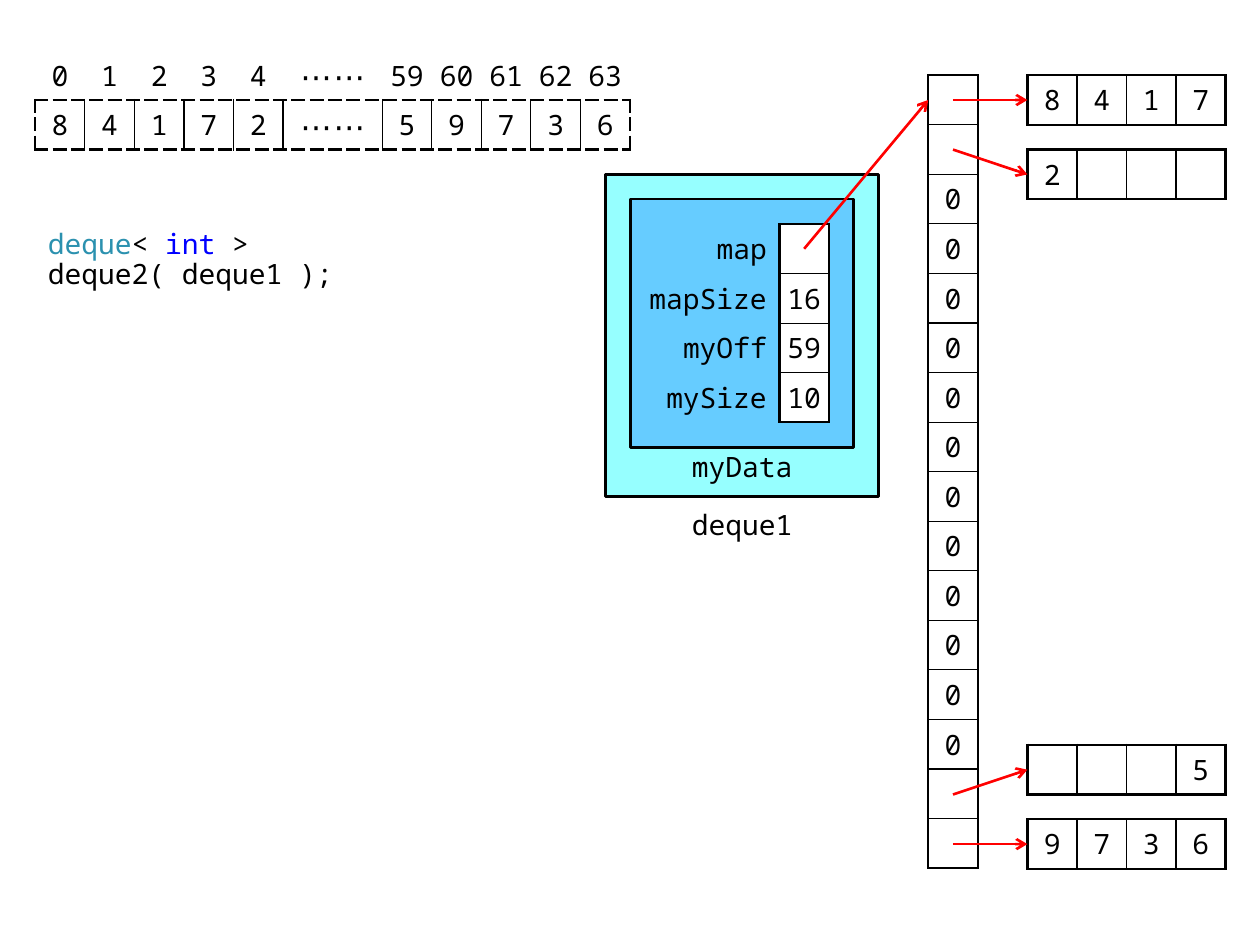
from lxml import etree
from pptx import Presentation
from pptx import util as u
from pptx.dml.color import RGBColor
from pptx.enum import shapes, text
from pptx.oxml.ns import qn

COLORS = {
    "ink": "000000",
    "white": "FFFFFF",
    "type": "2B91AF",
    "keyword": "0000FF",
    "object": "96FFFF",
    "data": "66CCFF",
    "pointer": "FF0000",
}
FONT = "Noto Sans Mono"
UNIT = 1 / 2.54
LEFT, TOP = 0.28, 0.4
THIN, THICK = 0.75, 1.5
NO_STYLE = "{2D5ABB26-0587-4C30-8999-92F81FD0307C}"
CENTER, RIGHT = text.PP_ALIGN.CENTER, text.PP_ALIGN.RIGHT


def color(name):
    return RGBColor.from_string(COLORS[name])


def point(col, row):
    return u.Inches(LEFT + col * UNIT), u.Inches(TOP + row * UNIT)


def size(cols, rows):
    return u.Inches(cols * UNIT), u.Inches(rows * UNIT)


def add_run(paragraph, wording, ink="ink", points=16, spacing=0):
    run = paragraph.add_run()
    run.text = wording
    run.font.name = FONT
    run.font.size = u.Pt(points)
    run.font.color.rgb = color(ink)
    if spacing:
        run._r.get_or_add_rPr().set("spc", str(spacing * 100))


def write_cell(cell, wording, align, margin):
    cell.vertical_anchor = text.MSO_ANCHOR.MIDDLE
    cell.margin_left = cell.margin_right = u.Inches(margin)
    cell.margin_top = cell.margin_bottom = u.Inches(0.04)
    paragraph = cell.text_frame.paragraphs[0]
    paragraph.alignment = align
    if wording == "⋯⋯":
        add_run(paragraph, "⋯", points=18, spacing=1)
        add_run(paragraph, "⋯", points=18)
    elif wording:
        add_run(paragraph, wording)


def draw_edge(cell, side, outer, dash):
    width = THICK if outer else THIN
    line = etree.SubElement(cell._tc.get_or_add_tcPr(), qn("a:ln" + side), w=str(u.Pt(width)))
    fill = etree.SubElement(line, qn("a:solidFill"))
    etree.SubElement(fill, qn("a:srgbClr"), val=COLORS["ink"])
    etree.SubElement(line, qn("a:prstDash"), val=dash if outer and dash else "solid")


def add_cells(slide, col, row, rows, widths=None, aligns=None, margins=None,
              first_row=0, first_col=0, dash=None, fill=None):
    count, last_row, last_col = len(rows[0]), len(rows) - 1, len(rows[0]) - 1
    widths = widths or [1] * count
    aligns = aligns or [CENTER] * count
    margins = margins or [0.04] * count
    frame = slide.shapes.add_table(len(rows), count, *point(col, row), *size(sum(widths), len(rows)))
    table = frame.table
    table.first_row = table.horz_banding = False
    table._tbl.tblPr[0].text = NO_STYLE
    for column, width in zip(table.columns, widths):
        column.width = u.Inches(width * UNIT)
    for r, wordings in enumerate(rows):
        table.rows[r].height = u.Inches(UNIT)
        for c, wording in enumerate(wordings):
            cell = table.cell(r, c)
            write_cell(cell, wording, aligns[c], margins[c])
            boxed = r >= first_row and c >= first_col
            if boxed:
                edges = {"L": c == first_col, "R": c == last_col,
                         "T": r == first_row, "B": r == last_row}
                for side, outer in edges.items():
                    draw_edge(cell, side, outer, dash)
            if boxed and fill:
                cell.fill.solid()
                cell.fill.fore_color.rgb = color(fill)
            else:
                cell.fill.background()


def add_box(slide, col, row, cols, rows, fill):
    box = slide.shapes.add_shape(shapes.MSO_SHAPE.FLOWCHART_PROCESS, *point(col, row), *size(cols, rows))
    box.shadow.inherit = False
    box.fill.solid()
    box.fill.fore_color.rgb = color(fill)
    box.line.color.rgb = color("ink")
    box.line.width = u.Pt(THICK)


def add_label(slide, col, row, cols, wording, anchor, top_margin):
    label = slide.shapes.add_textbox(*point(col, row), *size(cols, 1)).text_frame
    label.word_wrap = True
    label.vertical_anchor = anchor
    label.margin_left = label.margin_right = u.Inches(0.08)
    label.margin_top, label.margin_bottom = u.Inches(top_margin), 0
    label.paragraphs[0].alignment = CENTER
    add_run(label.paragraphs[0], wording)


def add_pointer(slide, start, end):
    pointer = slide.shapes.add_connector(shapes.MSO_CONNECTOR.STRAIGHT, *point(*start), *point(*end))
    pointer.line.color.rgb = color("pointer")
    pointer.line.width = u.Pt(THICK)
    etree.SubElement(pointer.line._get_or_add_ln(), qn("a:tailEnd"), type="arrow")
    etree.SubElement(pointer._element.spPr, qn("a:effectLst"))


def add_code(slide):
    title, code = slide.placeholders
    title._element.getparent().remove(title._element)
    code.left, code.top = point(0, 3.5)
    code.width, code.height = size(10.5, 1)
    frame = code.text_frame
    frame.word_wrap = True
    frame.auto_size = text.MSO_AUTO_SIZE.NONE
    frame.vertical_anchor = text.MSO_ANCHOR.TOP
    statement = frame.paragraphs[0]
    statement.space_before = u.Pt(3)
    statement.line_spacing = 0.9
    for wording, ink in [("deque", "type"), ("< ", "ink"), ("int ", "keyword"),
                         ("> deque2( deque1 );", "ink")]:
        add_run(statement, wording, ink)


def main():
    deck = Presentation()
    deck.slide_width, deck.slide_height = u.Inches(10), u.Inches(7.5)
    slide = deck.slides.add_slide(deck.slide_layouts[2])
    add_code(slide)

    block_map = [[""]] * 2 + [["0"]] * 12 + [[""]] * 2
    add_cells(slide, 18, 0.5, block_map, margins=[0.08])

    add_box(slide, 11.5, 2.5, 5.5, 6.5, "object")
    add_box(slide, 12, 3, 4.5, 5, "data")
    add_label(slide, 12.5, 9, 3.5, "deque1", text.MSO_ANCHOR.MIDDLE, 0.04)
    add_label(slide, 13, 8, 2.5, "myData", text.MSO_ANCHOR.TOP, 0.02)
    fields = [("map", ""), ("mapSize", "16"), ("myOff", "59"), ("mySize", "10")]
    add_cells(slide, 12, 3.5, fields, widths=[3, 1], aligns=[RIGHT, CENTER],
              margins=[0.1, 0], first_col=1, fill="white")
    add_pointer(slide, (15.5, 4), (18, 1))

    blocks = [
        (0, 0.5, ["8", "4", "1", "7"]),
        (1, 2, ["2", "", "", ""]),
        (14, 14, ["", "", "", "5"]),
        (15, 15.5, ["9", "7", "3", "6"]),
    ]
    for slot, row, values in blocks:
        add_cells(slide, 20, row, [values], fill="white")
        add_pointer(slide, (18.5, slot + 1), (20, row + 0.5))

    indexes = ["0", "1", "2", "3", "4", "⋯⋯", "59", "60", "61", "62", "63"]
    elements = ["8", "4", "1", "7", "2", "⋯⋯", "5", "9", "7", "3", "6"]
    add_cells(slide, 0, 0, [indexes, elements], widths=[1] * 5 + [2] + [1] * 5,
              first_row=1, dash="sysDash")
    deck.save("out.pptx")


if __name__ == "__main__":
    main()
